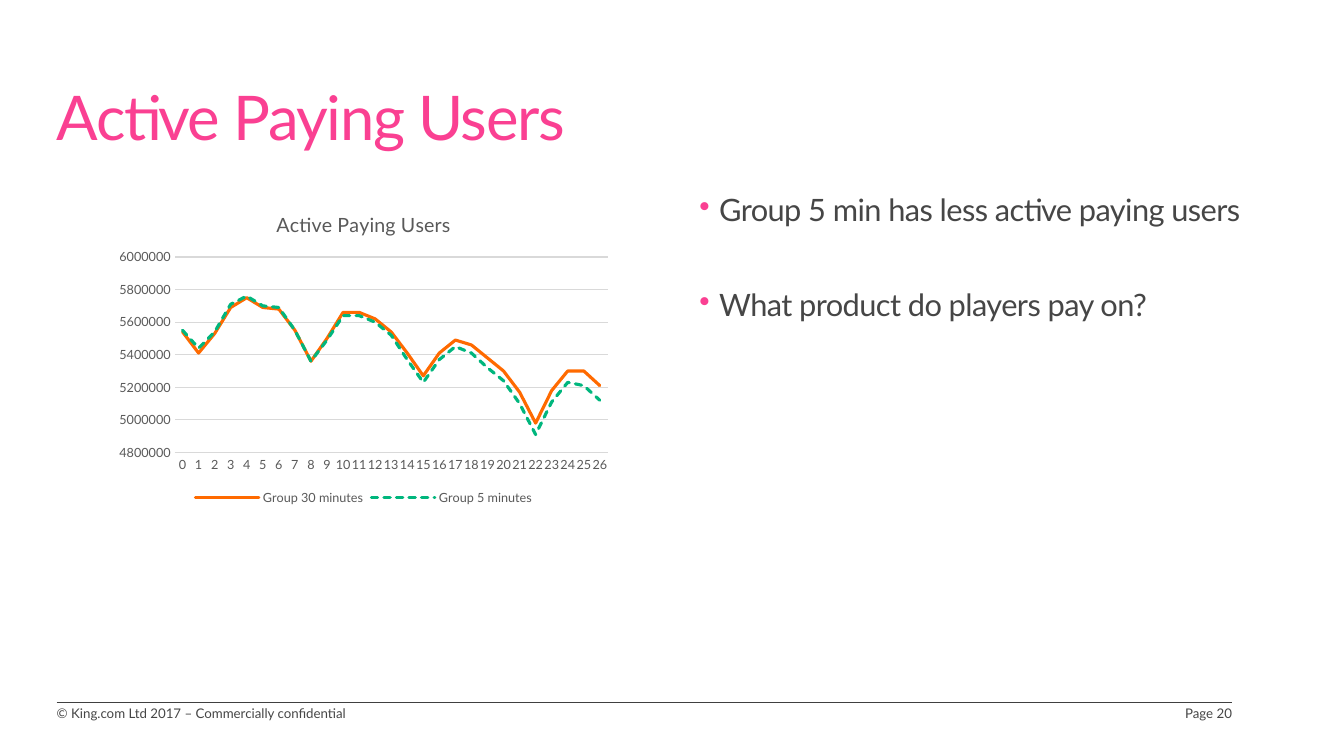
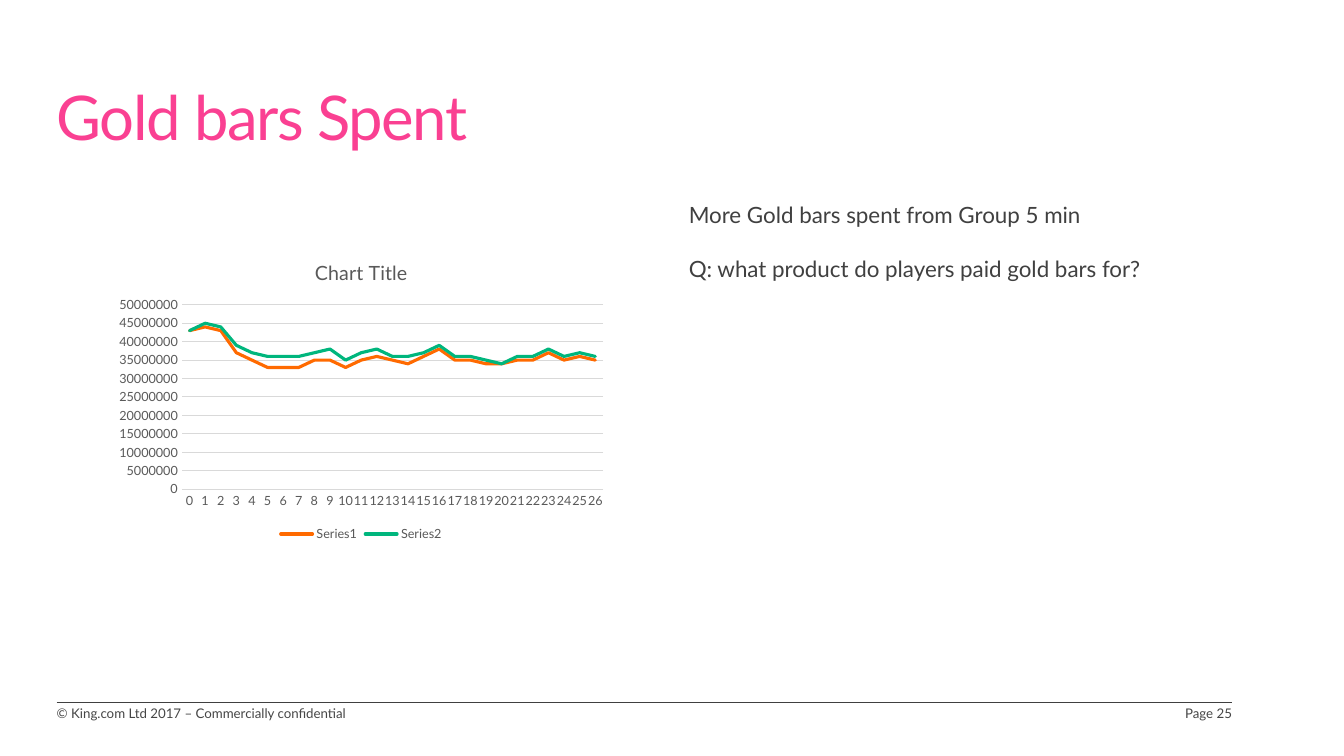
from lxml import etree
from pptx import Presentation
from pptx.chart.data import CategoryChartData
from pptx.dml.color import RGBColor
from pptx.enum.chart import XL_CHART_TYPE, XL_LEGEND_POSITION, XL_TICK_MARK
from pptx.enum.dml import MSO_LINE
from pptx.enum.shapes import MSO_CONNECTOR
from pptx.enum.text import MSO_ANCHOR, PP_ALIGN
from pptx.oxml.ns import qn
from pptx.util import Pt

LINE_CHART = XL_CHART_TYPE.LINE
LEGEND_BOTTOM = XL_LEGEND_POSITION.BOTTOM
NO_TICK = XL_TICK_MARK.NONE
SOLID, DASHED = MSO_LINE.SOLID, MSO_LINE.SQUARE_DOT
STRAIGHT = MSO_CONNECTOR.STRAIGHT
TOP, MIDDLE = MSO_ANCHOR.TOP, MSO_ANCHOR.MIDDLE
LEFT, RIGHT = PP_ALIGN.LEFT, PP_ALIGN.RIGHT

PINK = RGBColor(0xFA, 0x40, 0x92)
ORANGE = RGBColor(0xFF, 0x6A, 0x00)
GREEN = RGBColor(0x00, 0xB6, 0x7D)
TEXT_GREY = RGBColor(0x46, 0x46, 0x46)
DARK_GREY = RGBColor(0x40, 0x40, 0x40)
CHART_GREY = RGBColor(0x59, 0x59, 0x59)
GRID_GREY = RGBColor(0xD9, 0xD9, 0xD9)
FONT = "Lato"

MARGIN = 40.5
FOOTER_RIGHT = 880
FOOTER_TOP = 504
RULE_TOP = 502

SLIDES = [
    {
        "title": "Active Paying Users",
        "page": "Page 20",
        "chart_box": (78, 139.5, 363.5, 224.5),
        "chart_title": "Active Paying Users",
        "axis": (4800000, 6000000, 200000),
        "unit": 10000,
        "series": [
            ("Group 30 minutes", ORANGE, SOLID,
             [554, 541, 553, 569, 575, 569, 568, 555, 536, 550, 566, 566, 562, 554,
              541, 527, 541, 549, 546, 538, 530, 517, 498, 518, 530, 530, 521]),
            ("Group 5 minutes", GREEN, DASHED,
             [555, 544, 554, 571, 576, 570, 569, 555, 536, 549, 564, 564, 560, 552,
              537, 523, 537, 545, 541, 532, 524, 510, 491, 511, 523, 521, 512]),
        ],
        "text_box": (499.5, 139.5, 428, 338),
        "text": ["Group 5 min has less active paying users",
                 "What product do players pay on?"],
        "text_style": {"size": 22, "color": TEXT_GREY, "tracking": -0.4,
                       "line_spacing": 0.9, "gap": 44, "bullet": True},
    },
    {
        "title": "Gold bars Spent",
        "page": "Page 25",
        "chart_box": (78, 174, 360, 216),
        "chart_title": "Chart Title",
        "axis": (0, 50000000, 5000000),
        "unit": 1000000,
        "series": [
            ("Series1", ORANGE, SOLID,
             [43, 44, 43, 37, 35, 33, 33, 33, 35, 35, 33, 35, 36, 35,
              34, 36, 38, 35, 35, 34, 34, 35, 35, 37, 35, 36, 35]),
            ("Series2", GREEN, SOLID,
             [43, 45, 44, 39, 37, 36, 36, 36, 37, 38, 35, 37, 38, 36,
              36, 37, 39, 36, 36, 35, 34, 36, 36, 38, 36, 37, 36]),
        ],
        "text_box": (492, 144, 396, 58),
        "text": ["More Gold bars spent from Group 5 min",
                 "Q: what product do players paid gold bars for?"],
        "text_style": {"size": 16, "color": DARK_GREY, "gap": 19.2},
    },
]


def add_text(slide, box, lines, size, color, align=LEFT, anchor=TOP,
             tracking=0, line_spacing=1.0, gap=0, bullet=False):
    shape = slide.shapes.add_textbox(*[Pt(length) for length in box])
    frame = shape.text_frame
    frame.word_wrap = True
    frame.margin_left = frame.margin_right = frame.margin_top = frame.margin_bottom = 0
    frame.vertical_anchor = anchor
    frame.text = "\n".join(lines)
    for index, paragraph in enumerate(frame.paragraphs):
        paragraph.alignment = align
        paragraph.line_spacing = line_spacing
        if index:
            paragraph.space_before = Pt(gap)
        if bullet:
            properties = paragraph._p.get_or_add_pPr()
            properties.set("marL", str(Pt(14.2)))
            properties.set("indent", str(-Pt(14.2)))
            bullet_color = etree.SubElement(properties, qn("a:buClr"))
            etree.SubElement(bullet_color, qn("a:srgbClr"), val=str(PINK))
            etree.SubElement(properties, qn("a:buChar"), char="•")
        for run in paragraph.runs:
            run.font.name = FONT
            run.font.size = Pt(size)
            run.font.color.rgb = color
            if tracking:
                run.font._element.set("spc", str(round(tracking * 100)))


def style_font(font, size):
    font.name = FONT
    font.size = Pt(size)
    font.bold = False
    font.color.rgb = CHART_GREY


presentation = Presentation()
presentation.slide_width = Pt(960)
presentation.slide_height = Pt(540)
blank_layout = presentation.slide_layouts[6]

for content in SLIDES:
    slide = presentation.slides.add_slide(blank_layout)

    add_text(slide, (MARGIN, FOOTER_TOP, 306, 21),
             ["© King.com Ltd 2017 – Commercially confidential"], 9.5, TEXT_GREY)
    rule = slide.shapes.add_connector(
        STRAIGHT, Pt(MARGIN), Pt(RULE_TOP), Pt(FOOTER_RIGHT), Pt(RULE_TOP))
    rule.line.color.rgb = DARK_GREY
    rule.line.width = Pt(0.5)
    etree.SubElement(rule._element.spPr, qn("a:effectLst"))
    add_text(slide, (FOOTER_RIGHT - 57, FOOTER_TOP, 57, 9.5),
             [content["page"]], 9.5, TEXT_GREY, align=RIGHT)
    add_text(slide, (MARGIN, 37.5, 887, 99.5), [content["title"]], 44, PINK,
             anchor=MIDDLE, tracking=-1, line_spacing=0.85)

    chart_data = CategoryChartData()
    chart_data.categories = [str(day) for day in range(27)]
    for name, color, dash, values in content["series"]:
        chart_data.add_series(name, [value * content["unit"] for value in values])
    chart = slide.shapes.add_chart(
        LINE_CHART, *[Pt(length) for length in content["chart_box"]], chart_data).chart
    style_font(chart.font, 9)

    chart.has_title = True
    chart.chart_title.include_in_layout = False
    title_frame = chart.chart_title.text_frame
    title_frame.text = content["chart_title"]
    style_font(title_frame.paragraphs[0].runs[0].font, 14)

    chart.has_legend = True
    chart.legend.position = LEGEND_BOTTOM
    chart.legend.include_in_layout = False
    style_font(chart.legend.font, 9)

    for axis in (chart.category_axis, chart.value_axis):
        axis.major_tick_mark = axis.minor_tick_mark = NO_TICK
        style_font(axis.tick_labels.font, 9)
    category_line = chart.category_axis.format.line
    value_axis = chart.value_axis
    value_axis.format.line.fill.background()
    value_axis.minimum_scale, value_axis.maximum_scale, value_axis.major_unit = content["axis"]
    for line in (category_line, value_axis.major_gridlines.format.line):
        line.color.rgb = GRID_GREY
        line.width = Pt(0.75)

    plot = chart.plots[0]
    plot.vary_by_categories = False
    for series, (name, color, dash, values) in zip(plot.series, content["series"]):
        series.smooth = False
        series.format.line.color.rgb = color
        series.format.line.width = Pt(2.25)
        series.format.line.dash_style = dash
        series._element.xpath("c:spPr/a:ln")[0].set("cap", "rnd")

    add_text(slide, content["text_box"], content["text"], **content["text_style"])

presentation.save("out.pptx")
